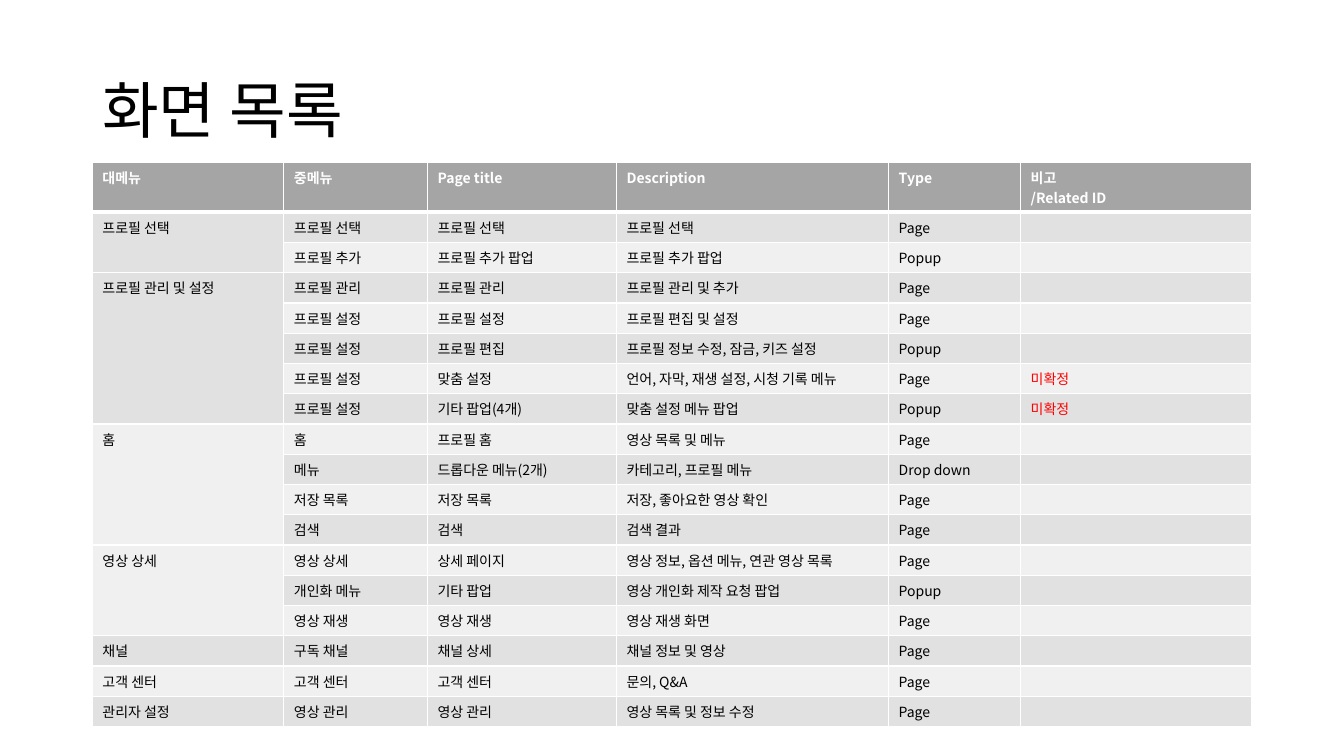
import pptx
import pptx.util
import pptx.dml.color
import pptx.enum.text
from lxml import etree
from pptx.oxml.ns import qn

Pt = pptx.util.Pt
FONT = "Noto Sans CJK KR"
SIZE = 10
WIDTHS = [136.8, 102.6, 135, 194.4, 94.3, 164.9]
HEAD = ["대메뉴", "중메뉴", "Page title", "Description", "Type", "비고\n/Related ID"]
MENUS = [
    ("프로필 선택", [
        ("프로필 선택", "프로필 선택", "프로필 선택", "Page", ""),
        ("프로필 추가", "프로필 추가 팝업", "프로필 추가 팝업", "Popup", ""),
    ]),
    ("프로필 관리 및 설정", [
        ("프로필 관리", "프로필 관리", "프로필 관리 및 추가", "Page", ""),
        ("프로필 설정", "프로필 설정", "프로필 편집 및 설정", "Page", ""),
        ("프로필 설정", "프로필 편집", "프로필 정보 수정, 잠금, 키즈 설정", "Popup", ""),
        ("프로필 설정", "맞춤 설정", "언어, 자막, 재생 설정, 시청 기록 메뉴", "Page", "미확정"),
        ("프로필 설정", "기타 팝업(4개)", "맞춤 설정 메뉴 팝업", "Popup", "미확정"),
    ]),
    ("홈", [
        ("홈", "프로필 홈", "영상 목록 및 메뉴", "Page", ""),
        ("메뉴", "드롭다운 메뉴(2개)", "카테고리, 프로필 메뉴", "Drop down", ""),
        ("저장 목록", "저장 목록", "저장, 좋아요한 영상 확인", "Page", ""),
        ("검색", "검색", "검색 결과", "Page", ""),
    ]),
    ("영상 상세", [
        ("영상 상세", "상세 페이지", "영상 정보, 옵션 메뉴, 연관 영상 목록", "Page", ""),
        ("개인화 메뉴", "기타 팝업", "영상 개인화 제작 요청 팝업", "Popup", ""),
        ("영상 재생", "영상 재생", "영상 재생 화면", "Page", ""),
    ]),
    ("채널", [("구독 채널", "채널 상세", "채널 정보 및 영상", "Page", "")]),
    ("고객 센터", [("고객 센터", "고객 센터", "문의, Q&A", "Page", "")]),
    ("관리자 설정", [("영상 관리", "영상 관리", "영상 목록 및 정보 수정", "Page", "")]),
]


def color(code):
    return pptx.dml.color.RGBColor.from_string(code)


def write(para, text, size, code, bold=False):
    for num, line in enumerate(text.split("\n")):
        if num:
            para.add_line_break()
        run = para.add_run()
        run.text = line
        run.font.size = Pt(size)
        run.font.name = FONT
        run.font.bold = bold
        run.font.color.rgb = color(code)


def edge(cell, side, width):
    props = cell._tc.get_or_add_tcPr()
    line = etree.SubElement(props, qn("a:ln" + side), w=str(Pt(width)))
    fill = etree.SubElement(line, qn("a:solidFill"))
    etree.SubElement(fill, qn("a:srgbClr"), val="FFFFFF")


def paint(cell, text, back, ink, bold=False, top=1, base=1):
    for side, width in zip("LRTB", (1, 1, top, base)):
        edge(cell, side, width)
    cell.fill.solid()
    cell.fill.fore_color.rgb = color(back)
    para = cell.text_frame.paragraphs[0]
    if text:
        write(para, text, SIZE, ink, bold)
    else:
        etree.SubElement(para._p, qn("a:endParaRPr"), sz=str(SIZE * 100))


def add_title(slide, text):
    box = slide.shapes.add_textbox(Pt(66), Pt(28.8), Pt(828), Pt(104.4))
    frame = box.text_frame
    frame.word_wrap = True
    frame.vertical_anchor = pptx.enum.text.MSO_ANCHOR.MIDDLE
    para = frame.paragraphs[0]
    para.line_spacing = 0.9
    write(para, text, 44, "000000")


def add_list(slide):
    count = 1 + sum(len(pages) for _, pages in MENUS)
    tall, short = 35.7, 21.6
    shape = slide.shapes.add_table(
        count, len(HEAD), Pt(66), Pt(116), Pt(sum(WIDTHS)), Pt(tall + short * (count - 1)))
    table = shape.table
    for col, width in zip(table.columns, WIDTHS):
        col.width = Pt(width)
    for num, row in enumerate(table.rows):
        row.height = Pt(short if num else tall)
    for col, text in enumerate(HEAD):
        paint(table.cell(0, col), text, "A5A5A5", "FFFFFF", True, base=3)
    row = 1
    for menu, pages in MENUS:
        first = row
        for page in pages:
            back = "E1E1E1" if row % 2 else "F0F0F0"
            name = menu if row == first else ""
            for col, text in enumerate((name, *page)):
                ink = "FF0000" if col == len(HEAD) - 1 else "000000"
                paint(table.cell(row, col), text, back, ink, top=3 if row == 1 else 1)
            row += 1
        if len(pages) > 1:
            table.cell(first, 0).merge(table.cell(row - 1, 0))


def main():
    deck = pptx.Presentation()
    deck.slide_width = Pt(960)
    deck.slide_height = Pt(540)
    slide = deck.slides.add_slide(deck.slide_layouts[6])
    add_title(slide, "화면 목록")
    add_list(slide)
    deck.save("out.pptx")


if __name__ == "__main__":
    main()
